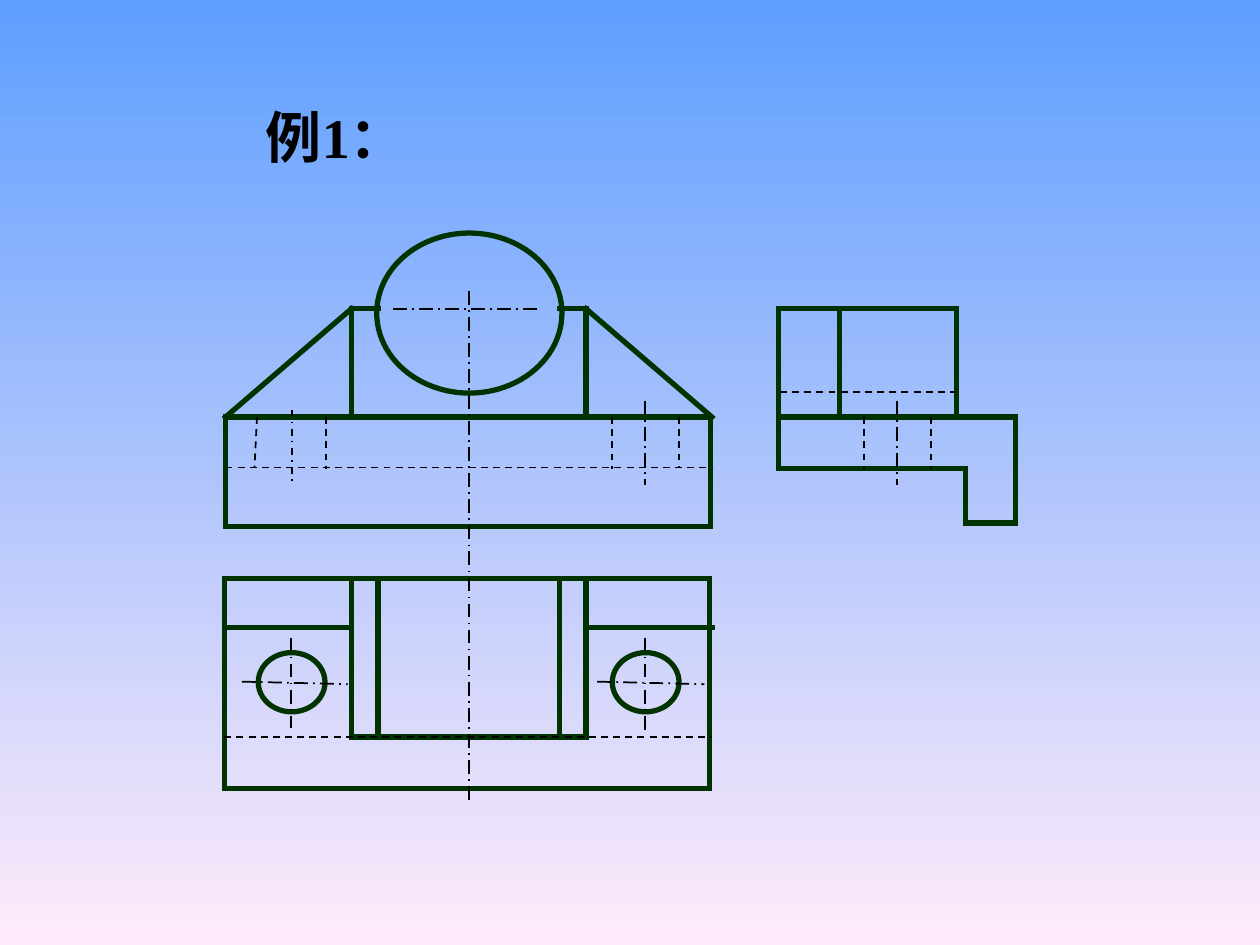
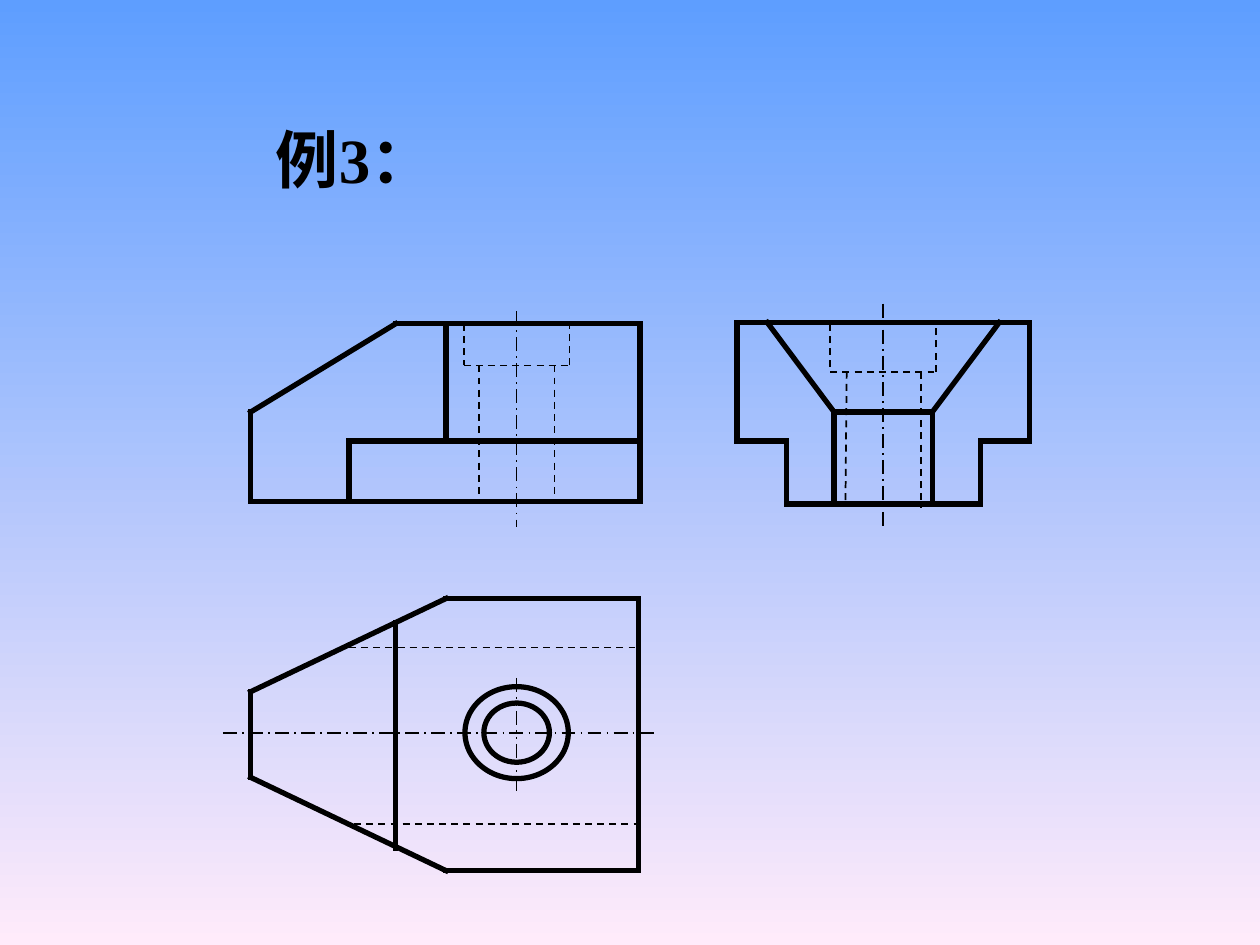
from lxml import etree
from pptx import Presentation
from pptx.dml.color import RGBColor
from pptx.enum.dml import MSO_LINE
from pptx.enum.shapes import MSO_CONNECTOR, MSO_SHAPE
from pptx.enum.text import MSO_ANCHOR, MSO_AUTO_SIZE, PP_ALIGN
from pptx.oxml.ns import qn
from pptx.util import Inches, Pt

STRAIGHT, OVAL = MSO_CONNECTOR.STRAIGHT, MSO_SHAPE.OVAL
TOP, MIDDLE, LEFT = MSO_ANCHOR.TOP, MSO_ANCHOR.MIDDLE, PP_ALIGN.LEFT
NO_AUTOFIT = MSO_AUTO_SIZE.NONE
TITLE_ONLY = 5

COLORS = {"sky": "5E9EFF", "blush": "FFEBFA", "green": "003300", "black": "000000"}
FONT = "Times New Roman"
# Line style: width in points, dash pattern
STYLES = {
    "outline": (3, None),
    "hidden": (1, MSO_LINE.DASH),
    "axis": (1, MSO_LINE.LONG_DASH_DOT),
    "short axis": (1, MSO_LINE.DASH_DOT),
    "dotted axis": (1, MSO_LINE.DASH_DOT_DOT),
}


def with_mirror(chains, x_axis=None, y_axis=None):
    """Return the chains of points followed by their reflections."""
    return chains + [
        [(x if x_axis is None else 2 * x_axis - x,
          y if y_axis is None else 2 * y_axis - y) for x, y in chain]
        for chain in chains
    ]


# Each chain is a list of points joined by straight lines, in inches.
BEARING_AXIS = 3.72
BEARING = {
    "title": {"text": "例1：", "at": (2.01, 0.76, 6.61, 0.64), "size": 32, "anchor": TOP},
    "outline color": "green",
    "circles": [(2.99, 1.85, 1.47, 1.27), (2.05, 5.18, 0.53, 0.47), (4.86, 5.18, 0.53, 0.47)],
    "lines": {
        "outline":
            # front view
            [[(1.79, 3.31), (5.64, 3.31), (5.64, 4.18), (1.79, 4.18), (1.79, 3.31)]]
            + with_mirror([
                [(3, 2.45), (2.79, 2.45), (1.79, 3.31)],
                [(2.79, 2.45), (2.79, 3.31)],
            ], x_axis=BEARING_AXIS)
            # top view
            + [[(1.78, 4.59), (5.63, 4.59), (5.63, 6.26), (1.78, 6.26), (1.78, 4.59)],
               [(2.79, 4.59), (2.79, 5.85), (4.65, 5.85), (4.65, 4.59)]]
            + with_mirror([
                [(3, 4.59), (3, 5.85)],
                [(1.79, 4.98), (2.79, 4.98)],
            ], x_axis=BEARING_AXIS)
            # side view
            + [[(7.59, 3.31), (7.59, 2.45), (6.18, 2.45), (6.18, 3.72), (7.66, 3.72),
                (7.66, 4.15), (8.06, 4.15), (8.06, 3.31), (6.18, 3.31)],
               [(6.66, 2.45), (6.66, 3.31)]],
        "hidden":
            [[(1.79, 3.71), (5.65, 3.71)], [(1.78, 5.85), (5.65, 5.85)],
             [(2.04, 3.31), (2.02, 3.71)], [(5.39, 3.31), (5.39, 3.71)],
             [(6.19, 3.11), (7.59, 3.11)]]
            + [[(x, 3.31), (x, 3.72)] for x in (2.59, 4.86, 6.86, 7.39)],
        "axis":
            [[(BEARING_AXIS, 2.31), (BEARING_AXIS, 6.38)], [(3.12, 2.45), (4.26, 2.45)],
             [(1.92, 5.41), (2.76, 5.43)], [(4.74, 5.41), (5.59, 5.43)],
             [(2.31, 5.06), (2.31, 5.78)], [(5.12, 5.06), (5.12, 5.81)]]
            + [[(x, 3.18), (x, 3.85)] for x in (5.12, 7.12)],
        "short axis": [[(2.32, 3.25), (2.32, 3.85)]],
    },
}

SIDE_AXIS, PLAN_AXIS = 7.01, 5.83
CLAMP = {
    "title": {"text": "例3：", "at": (2.09, 0.91, 6.06, 0.7), "size": 36, "anchor": MIDDLE},
    "outline color": "black",
    "circles": [(3.84, 5.58, 0.52, 0.47), (3.69, 5.45, 0.82, 0.73)],
    "lines": {
        "outline":
            # front view
            [[(1.99, 3.27), (1.99, 3.98), (5.08, 3.98), (5.08, 2.57), (3.14, 2.57), (1.99, 3.27)],
             [(3.54, 2.57), (3.54, 3.5)],
             [(2.77, 3.98), (2.77, 3.5), (5.08, 3.5)]]
            # side view
            + with_mirror([
                [(SIDE_AXIS, 2.56), (5.85, 2.56), (5.85, 3.5), (6.24, 3.5), (6.24, 4),
                 (SIDE_AXIS, 4)],
                [(6.09, 2.56), (6.62, 3.27), (6.62, 4)],
                [(6.62, 3.27), (SIDE_AXIS, 3.27)],
            ], x_axis=SIDE_AXIS)
            # top view
            + with_mirror([
                [(1.99, PLAN_AXIS), (1.99, 5.49), (3.54, 4.75), (5.07, 4.75), (5.07, PLAN_AXIS)],
            ], y_axis=PLAN_AXIS)
            + [[(3.14, 4.94), (3.14, 6.73)]],
        "hidden":
            [[(3.68, 2.57), (3.68, 2.9), (4.52, 2.9), (4.52, 2.57)],
             [(3.8, 2.9), (3.8, 4)], [(4.4, 2.9), (4.4, 3.98)],
             [(6.59, 2.57), (6.59, 2.95), (7.43, 2.95), (7.43, 2.57)],
             [(6.72, 2.95), (6.71, 4)], [(7.31, 2.95), (7.31, 4.03)],
             [(2.77, 5.14), (5.07, 5.14)], [(2.81, 6.54), (5.05, 6.54)]],
        "axis": [[(1.77, 5.82), (5.2, 5.82)], [(4.1, 2.47), (4.1, 4.18)],
                 [(SIDE_AXIS, 2.41), (SIDE_AXIS, 4.18)]],
        "dotted axis": [[(4.1, 5.38), (4.1, 6.28)]],
    },
}


def rgb(name):
    return RGBColor.from_string(COLORS[name])


def paint_background(master):
    fill = master.background.fill
    fill.gradient()
    fill.gradient_angle = 270
    for stop, name in zip(fill.gradient_stops, ("sky", "blush")):
        stop.color.rgb = rgb(name)


def set_line(shape, style, color):
    width, dash = STYLES[style]
    shape.line.color.rgb = rgb(color)
    shape.line.width = Pt(width)
    if dash is not None:
        shape.line.dash_style = dash


def add_title(page, text, at, size, anchor):
    box = page.shapes.title
    box.left, box.top, box.width, box.height = map(Inches, at)
    frame = box.text_frame
    for name, value in {"auto_size": NO_AUTOFIT, "vertical_anchor": anchor,
                        "word_wrap": True}.items():
        setattr(frame, name, value)
    para = frame.paragraphs[0]
    para.alignment = LEFT
    span = para.add_run()
    span.text = text
    for name, value in {"name": FONT, "size": Pt(size), "bold": True}.items():
        setattr(span.font, name, value)
    span.font.color.rgb = rgb("black")


def add_circle(page, at, color):
    circle = page.shapes.add_shape(OVAL, *map(Inches, at))
    circle.shadow.inherit = False
    circle.fill.background()
    set_line(circle, "outline", color)


def add_chain(page, points, style, color):
    for start, end in zip(points, points[1:]):
        edge = page.shapes.add_connector(STRAIGHT, *map(Inches, start + end))
        set_line(edge, style, color)
        properties = edge.element.spPr
        if style == "outline":
            # Square ends close the corners between neighbouring edges.
            properties.find(qn("a:ln")).set("cap", "sq")
        etree.SubElement(properties, qn("a:effectLst"))


def add_drawing(deck, drawing):
    page = deck.slides.add_slide(deck.slide_layouts[TITLE_ONLY])
    add_title(page, **drawing["title"])
    for at in drawing["circles"]:
        add_circle(page, at, drawing["outline color"])
    for style, chains in drawing["lines"].items():
        color = drawing["outline color"] if style == "outline" else "black"
        for points in chains:
            add_chain(page, points, style, color)


def main():
    deck = Presentation()
    deck.slide_width, deck.slide_height = Inches(10), Inches(7.5)
    paint_background(deck.slide_master)
    for drawing in (BEARING, CLAMP):
        add_drawing(deck, drawing)
    deck.save("out.pptx")


if __name__ == "__main__":
    main()
